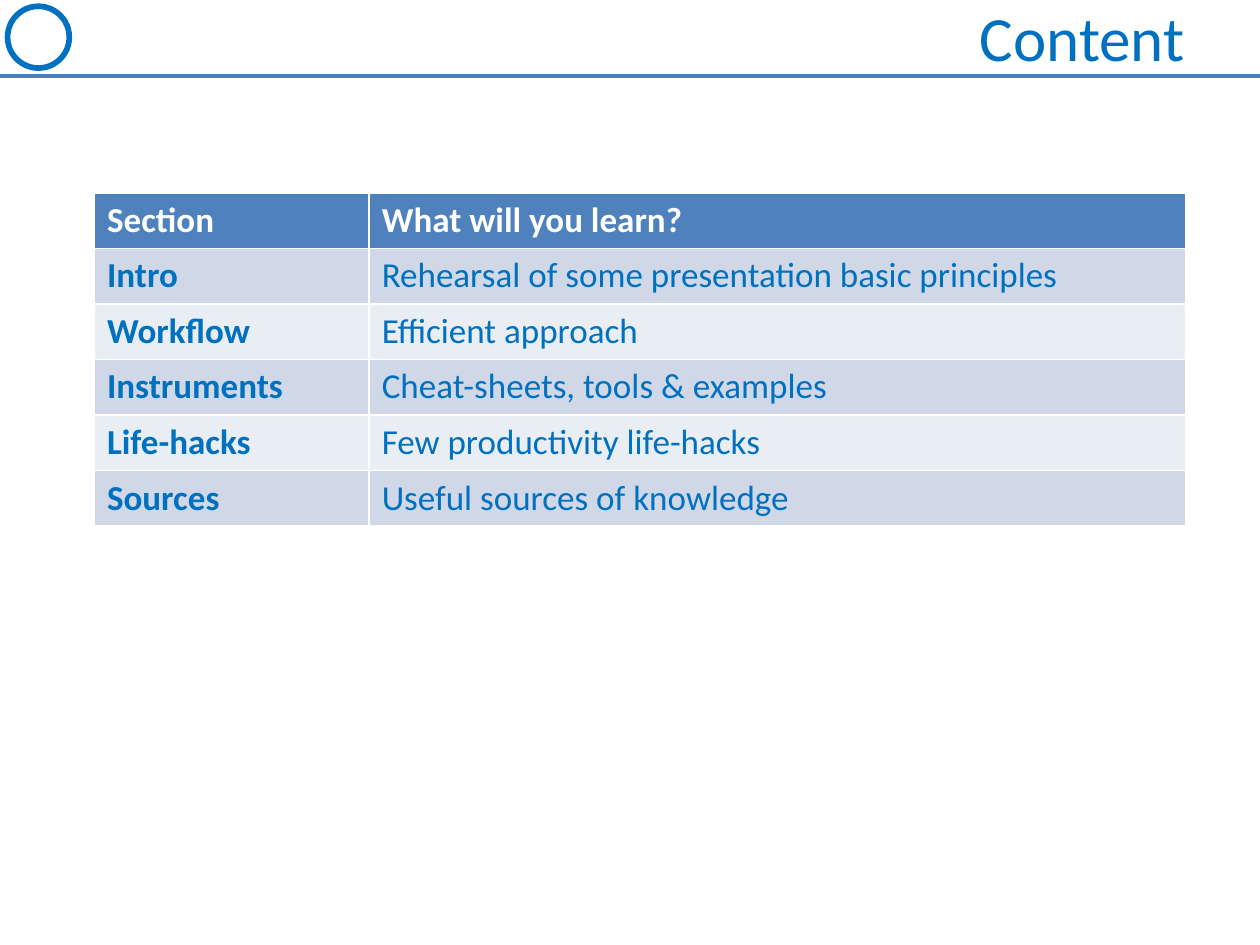
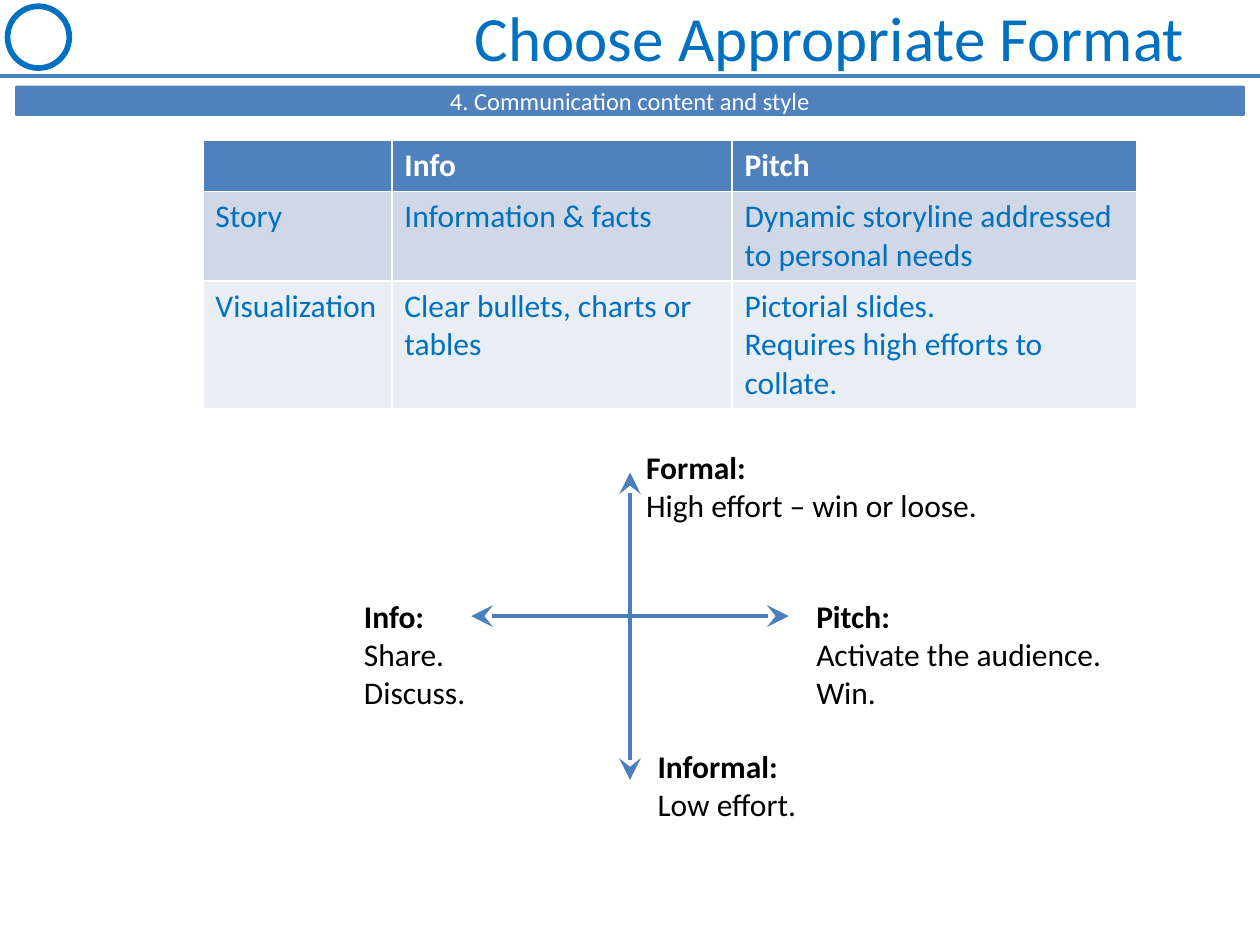
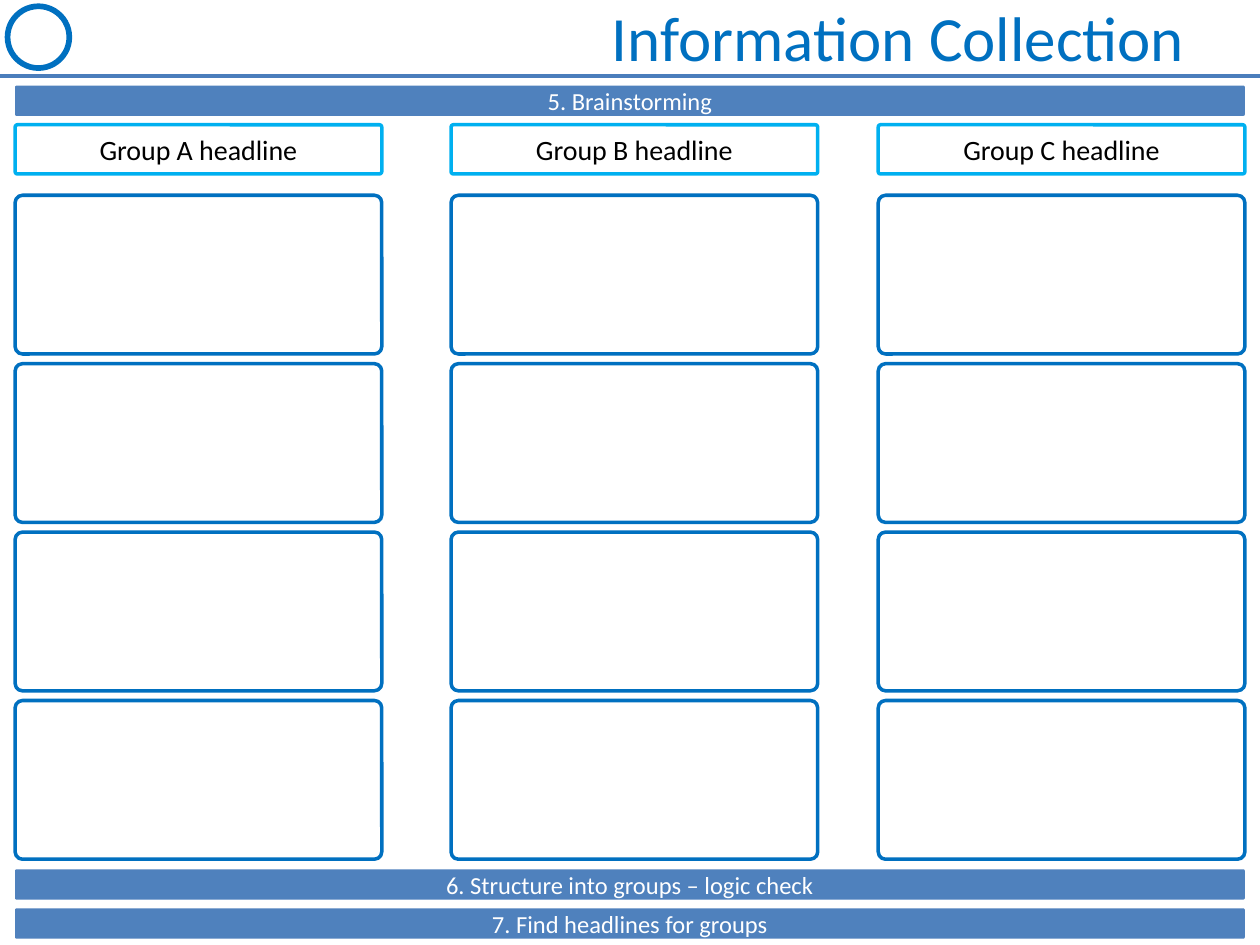
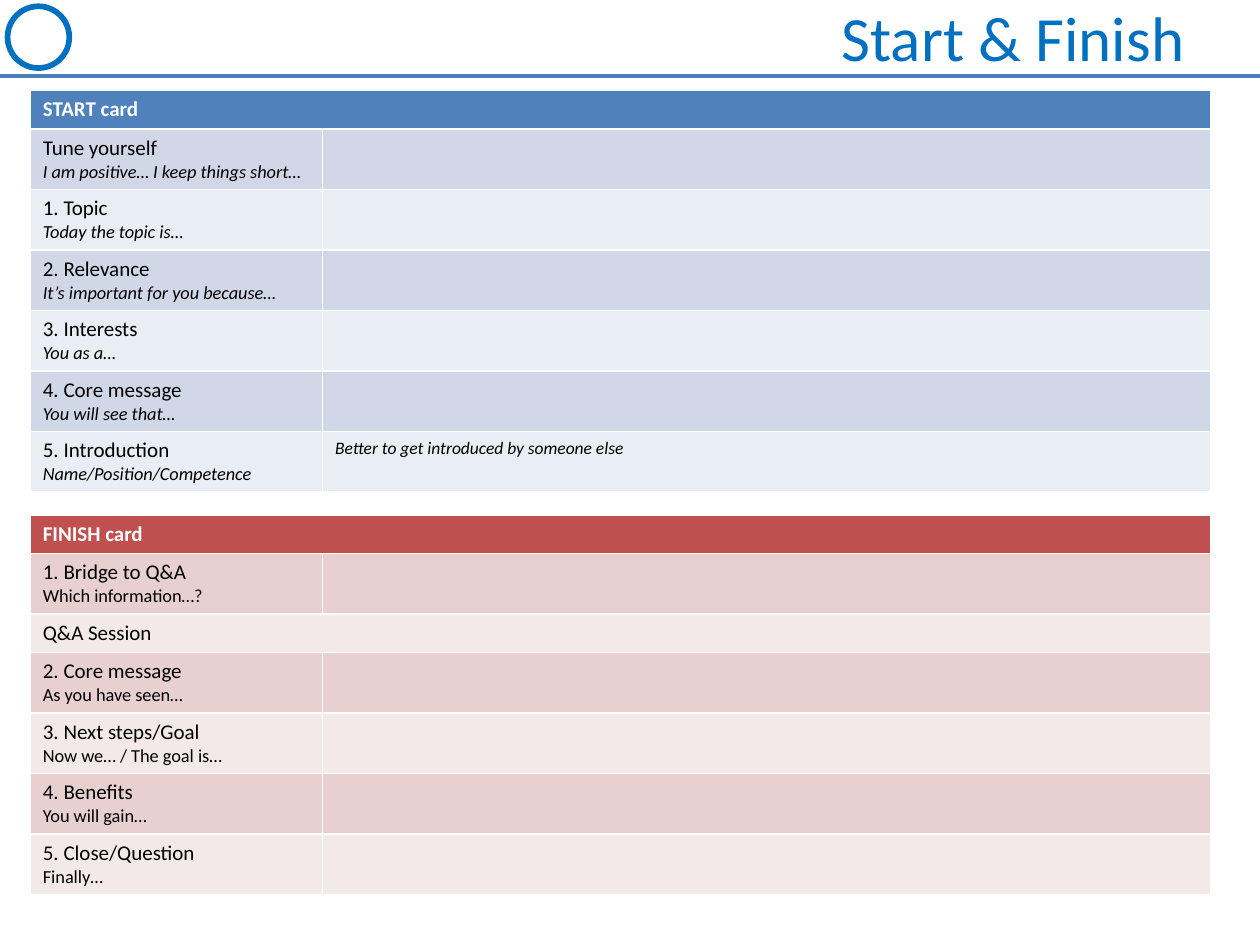
"""Build four slides of a presentation workbook: content, format, collection, start and finish."""
import dataclasses

import lxml.etree
import pptx
import pptx.dml.color
import pptx.enum.shapes
import pptx.enum.text
import pptx.oxml.ns
import pptx.util

ALIGN = pptx.enum.text.PP_ALIGN
ANCHOR = pptx.enum.text.MSO_ANCHOR
SHAPE = pptx.enum.shapes.MSO_SHAPE


@dataclasses.dataclass(frozen=True)
class Theme:
    font: str = "Calibri"
    ink: str = "000000"
    white: str = "FFFFFF"
    brand: str = "0070C0"
    sky: str = "00B0F0"
    rule: str = "4B7EBC"
    blue: tuple = ("4F81BD", "D0D8E8", "E9EDF4")
    red: tuple = ("C0504D", "E8D0D0", "F4E9E9")
    title: float = 36
    large: float = 20
    body: float = 18
    group: float = 16
    bar: float = 14
    card: float = 12
    hint: float = 10.5
    note: float = 10


THEME = Theme()


def tint(code):
    return pptx.dml.color.RGBColor.from_string(code)


def inches(*sizes):
    return [pptx.util.Inches(size) for size in sizes]


def write(frame, lines, size=THEME.body, color=THEME.ink, bold=False,
          italic=False, align=None, first=None, rest=None):
    """Fill a frame with lines; first and rest override the format of the opening and later lines."""
    base = {"size": size, "color": color, "bold": bold, "italic": italic}
    for index, line in enumerate(lines):
        para = frame.add_paragraph() if index else frame.paragraphs[0]
        para.alignment = align
        run = para.add_run()
        run.text = line
        look = base | ((rest if index else first) or {})
        run.font.name = THEME.font
        run.font.size = pptx.util.Pt(look["size"])
        run.font.color.rgb = tint(look["color"])
        run.font.bold = look["bold"]
        run.font.italic = look["italic"]


class Deck:
    def __init__(self, theme):
        self.theme = theme
        self.show = pptx.Presentation()
        self.show.slide_width, self.show.slide_height = inches(10, 7.5)
        self.layout = self.show.slide_layouts[5]
        for holder in list(self.layout.placeholders):
            if holder.placeholder_format.idx:
                holder.element.getparent().remove(holder.element)
            else:
                holder.left, holder.top, holder.width, holder.height = inches(0.5, -0.03, 9, 0.63)
        self.slide = None

    def open(self, title):
        self.slide = self.show.slides.add_slide(self.layout)
        frame = self.slide.shapes.title.text_frame
        frame.vertical_anchor = ANCHOR.MIDDLE
        write(frame, [title], size=self.theme.title, color=self.theme.brand, align=ALIGN.RIGHT)

    def brand(self):
        """Draw the header rule and badge once and hand them to the shared layout."""
        rule = self.line((0, 0.6), (10, 0.6), 2.25)
        badge = self.shape((0.06, 0.05, 0.49, 0.49), SHAPE.OVAL, edge=self.theme.brand, weight=3.25)
        for part in (rule, badge):
            self.layout.shapes.element.append(part.element)

    def shape(self, at, kind=SHAPE.ROUNDED_RECTANGLE, fill=None, edge=None, weight=2):
        shape = self.slide.shapes.add_shape(kind, *inches(*at))
        shape.shadow.inherit = False
        if kind == SHAPE.ROUNDED_RECTANGLE:
            shape.adjustments[0] = 0.046
        if fill:
            shape.fill.solid()
            shape.fill.fore_color.rgb = tint(fill)
        else:
            shape.fill.background()
        if edge:
            shape.line.color.rgb = tint(edge)
            shape.line.width = pptx.util.Pt(weight)
        else:
            shape.line.fill.background()
        return shape

    def label(self, shape, text, **look):
        shape.text_frame.vertical_anchor = ANCHOR.MIDDLE
        write(shape.text_frame, [text], align=ALIGN.CENTER, **look)

    def bar(self, top, text):
        shape = self.shape((0.12, top, 9.76, 0.24), fill=self.theme.blue[0])
        self.label(shape, text, size=self.theme.bar, color=self.theme.white)

    def line(self, start, end, weight, arrows=False):
        line = self.slide.shapes.add_connector(
            pptx.enum.shapes.MSO_CONNECTOR.STRAIGHT, *inches(*start, *end))
        line.line.color.rgb = tint(self.theme.rule)
        line.line.width = pptx.util.Pt(weight)
        name = pptx.oxml.ns.qn
        props = line.element.spPr
        if arrows:
            for tip in ("a:headEnd", "a:tailEnd"):
                lxml.etree.SubElement(props.find(name("a:ln")), name(tip),
                                      type="stealth", w="lg", len="lg")
        lxml.etree.SubElement(props, name("a:effectLst"))
        return line

    def note(self, at, lines):
        frame = self.slide.shapes.add_textbox(*inches(*at)).text_frame
        frame.word_wrap = False
        frame.auto_size = pptx.enum.text.MSO_AUTO_SIZE.SHAPE_TO_FIT_TEXT
        write(frame, lines, first={"bold": True})

    def table(self, at, cols, heights, rows, fills, size, color, lead=False, rest=None):
        """Add a banded table; a row with one entry spans all columns."""
        table = self.slide.shapes.add_table(
            len(rows), len(cols), *inches(*at, sum(cols), sum(heights))).table
        for col, width in zip(table.columns, inches(*cols)):
            col.width = width
        for row, height in zip(table.rows, inches(*heights)):
            row.height = height
        for y, row in enumerate(rows):
            fill = fills[2 - y % 2] if y else fills[0]
            for x in range(len(cols)):
                cell = table.cell(y, x)
                cell.fill.solid()
                cell.fill.fore_color.rgb = tint(fill)
            if len(row) < len(cols):
                table.cell(y, 0).merge(table.cell(y, len(cols) - 1))
            for x, text in enumerate(row):
                if text:
                    write(table.cell(y, x).text_frame, text.split("\n"), size=size,
                          color=color if y else self.theme.white,
                          bold=not y or (lead and not x), rest=rest)
        return table


def content(deck):
    deck.open("Content")
    deck.brand()
    rows = [
        ("Section", "What will you learn?"),
        ("Intro", "Rehearsal of some presentation basic principles"),
        ("Workflow", "Efficient approach"),
        ("Instruments", "Cheat-sheets, tools & examples"),
        ("Life-hacks", "Few productivity life-hacks"),
        ("Sources", "Useful sources of knowledge"),
    ]
    deck.table((0.75, 1.53), (2.18, 6.48), [0.43] * len(rows), rows,
               THEME.blue, THEME.large, THEME.brand, lead=True)


def format_choice(deck):
    deck.open("Choose Appropriate Format")
    deck.bar(0.68, "4. Communication content and style")
    rows = [
        ("", "Info", "Pitch"),
        ("Story", "Information & facts", "Dynamic storyline addressed to personal needs"),
        ("Visualization", "Clear bullets, charts or tables",
         "Pictorial slides.\nRequires high efforts to collate."),
    ]
    deck.table((1.61, 1.11), (1.5, 2.7, 3.21), (0.41, 0.69, 1.01), rows,
               THEME.blue, THEME.body, THEME.brand)
    deck.line((5, 3.75), (5, 6.19), 2.5, arrows=True)
    deck.line((6.26, 4.89), (3.74, 4.89), 2.5, arrows=True)
    deck.note((5.03, 3.51, 2.87, 0.71), ["Formal:", "High effort – win or loose."])
    deck.note((5.12, 5.88, 1.32, 0.71), ["Informal:", "Low effort."])
    deck.note((2.79, 4.69, 1.01, 1.01), ["Info:", "Share.", "Discuss."])
    deck.note((6.38, 4.69, 2.49, 1.01), ["Pitch:", "Activate the audience.", "Win."])


def collection(deck):
    deck.open("Information Collection")
    deck.bar(0.68, "5. Brainstorming")
    lefts, width = (0.12, 3.58, 6.97), 2.91
    first, last, count = 1.55, 5.56, 4
    pitch = (last - first) / (count - 1)
    for row in range(count):
        for left in lefts:
            deck.shape((left, first + row * pitch, width, 1.26), edge=THEME.brand)
    deck.bar(6.9, "6. Structure into groups – logic check")
    deck.bar(7.21, "7. Find headlines for groups")
    for left, group in zip(lefts, "ABC"):
        head = deck.shape((left, 0.99, width, 0.39), edge=THEME.sky)
        deck.label(head, f"Group {group} headline", size=THEME.group)


def cards(deck):
    deck.open("Start & Finish")
    cols, short, tall = (2.32, 7.05), 0.29, 0.48
    start = [
        ("START card",),
        ("Tune yourself\nI am positive… I keep things short…", ""),
        ("1. Topic\nToday the topic is…", ""),
        ("2. Relevance\nIt’s important for you because…", ""),
        ("3. Interests\nYou as a…", ""),
        ("4. Core message\nYou will see that…", ""),
        ("5. Introduction\nName/Position/Competence", ""),
    ]
    finish = [
        ("FINISH card",),
        ("1. Bridge to Q&A\nWhich information…?", ""),
        ("Q&A Session",),
        ("2. Core message\nAs you have seen…", ""),
        ("3. Next steps/Goal\nNow we… / The goal is…", ""),
        ("4. Benefits\nYou will gain…", ""),
        ("5. Close/Question\nFinally…", ""),
    ]
    for top, rows, fills, slant in ((0.72, start, THEME.blue, True),
                                    (4.09, finish, THEME.red, False)):
        heights = [short if len(row) == 1 else tall for row in rows]
        table = deck.table((0.24, top), cols, heights, rows, fills, THEME.card, THEME.ink,
                           rest={"size": THEME.hint, "italic": slant})
        if rows is start:
            write(table.cell(len(rows) - 1, 1).text_frame,
                  ["Better to get introduced by someone else"], size=THEME.note, italic=True)


def main():
    deck = Deck(THEME)
    for build in (content, format_choice, collection, cards):
        build(deck)
    deck.show.save("out.pptx")


main()
